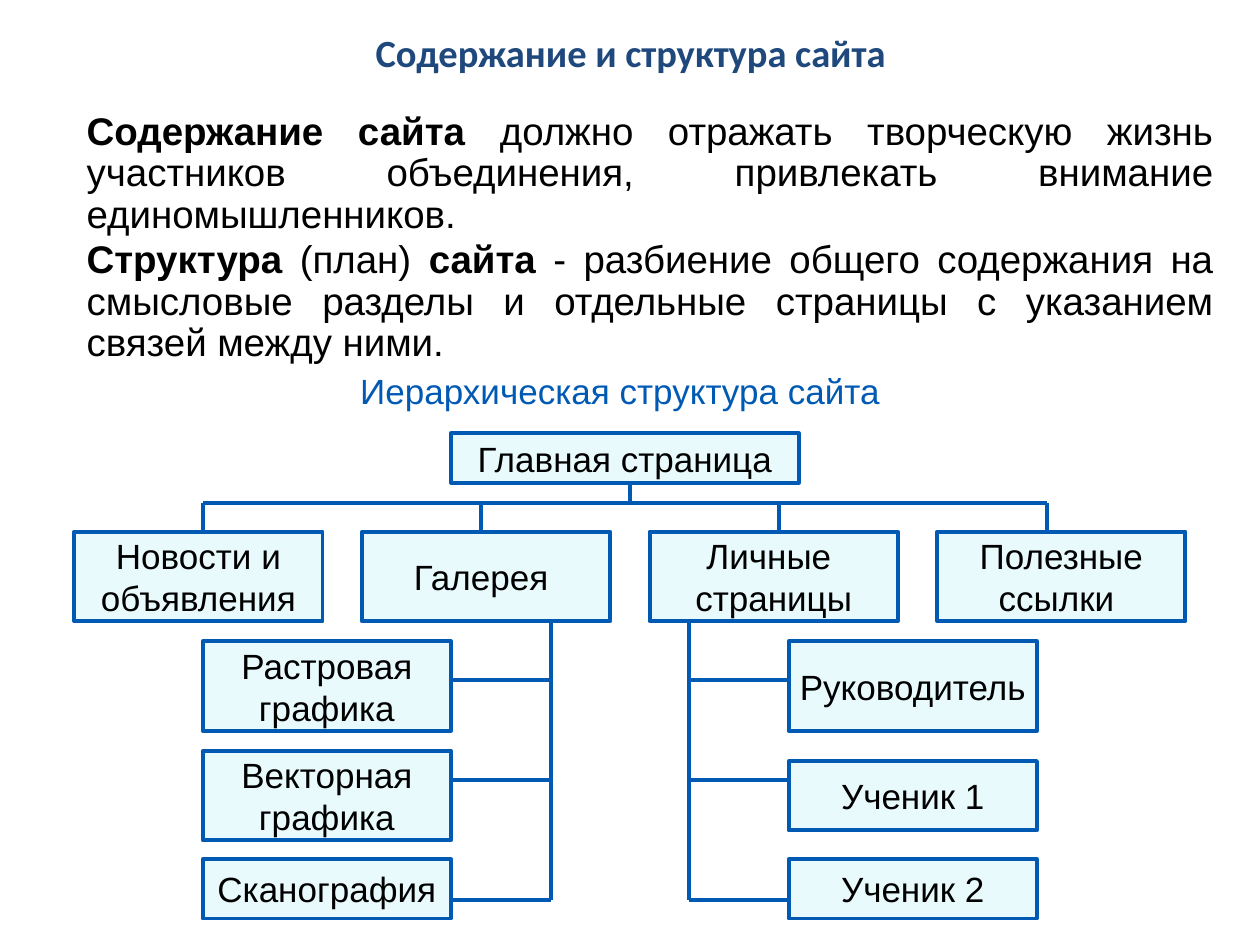
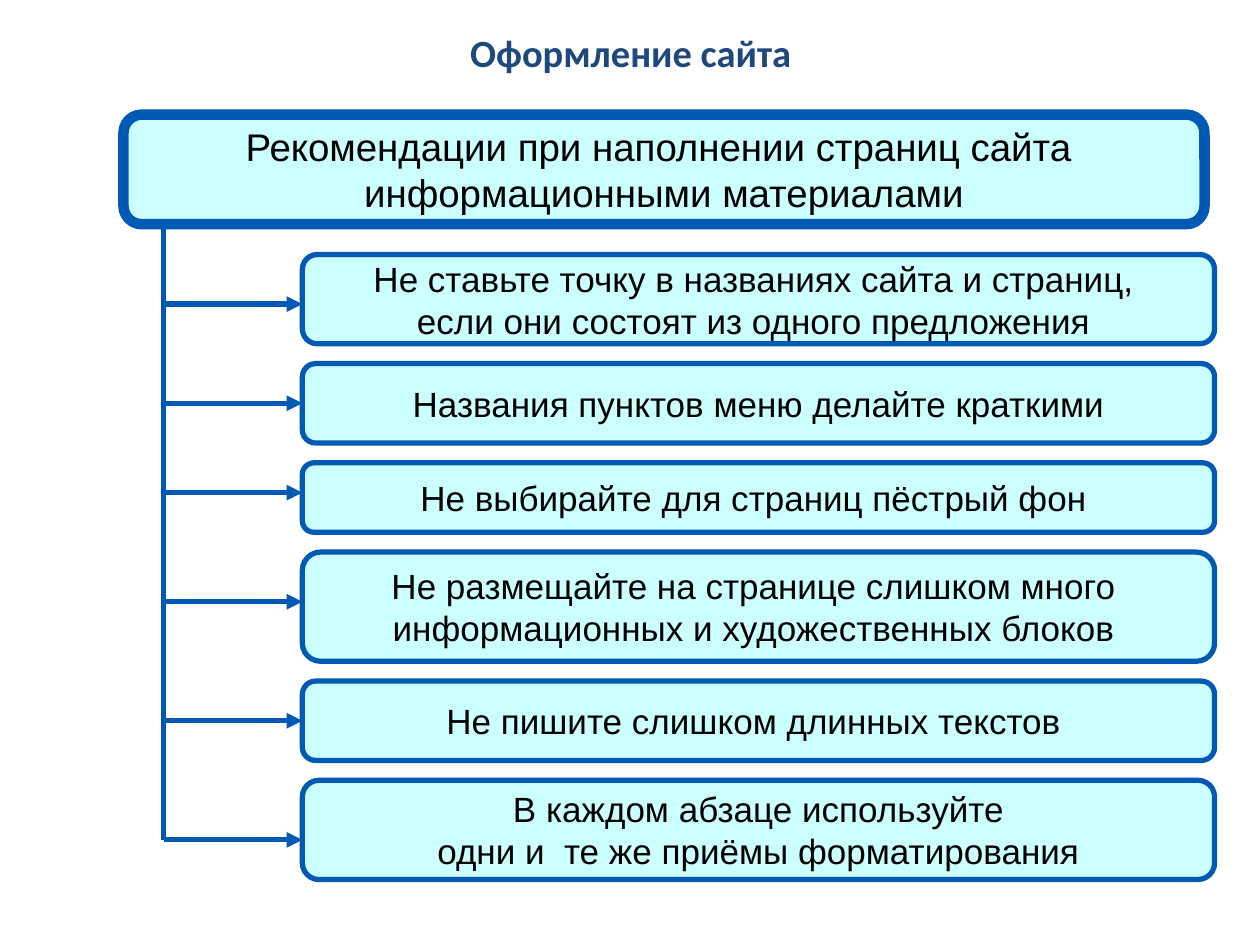
from lxml import etree
from pptx import Presentation
from pptx.dml.color import RGBColor
from pptx.enum.shapes import MSO_CONNECTOR, MSO_SHAPE
from pptx.enum.text import MSO_ANCHOR, PP_ALIGN
from pptx.oxml.ns import qn
from pptx.util import Inches, Pt

STRAIGHT = MSO_CONNECTOR.STRAIGHT
RECTANGLE = MSO_SHAPE.RECTANGLE
ROUNDED = MSO_SHAPE.ROUNDED_RECTANGLE
TOP, MIDDLE = MSO_ANCHOR.TOP, MSO_ANCHOR.MIDDLE
CENTER, JUSTIFY = PP_ALIGN.CENTER, PP_ALIGN.JUSTIFY

COLORS = {
    "title": "1F497D",
    "text": "000000",
    "line": "005AB4",
    "page": "E8FAFC",
    "advice": "CCFFFF",
}
GRID = 0.2 / 2.54

DEFINITIONS = [
    [("Содержание сайта", True),
     (" должно отражать творческую жизнь участников объединения, "
      "привлекать внимание единомышленников.", False)],
    [("Структура", True), (" (план) ", False), ("сайта", True),
     (" - разбиение общего содержания на смысловые разделы и отдельные "
      "страницы с указанием связей между ними.", False)],
]
SECTIONS = [
    (["Новости и", "объявления"], 1.02),
    (["Галерея "], 3.23),
    (["Личные ", "страницы"], 5.59),
    (["Полезные", "ссылки "], 7.72),
]
GALLERY_PAGES = [
    (["Растровая", "графика"], 1.65, 0.71),
    (["Векторная", "графика"], 2.52, 0.71),
    (["Сканография"], 3.38, 0.47),
]
PERSONAL_PAGES = [
    (["Руководитель"], 1.65, 0.71),
    (["Ученик 1"], 2.6, 0.55),
    (["Ученик 2"], 3.38, 0.47),
]
ADVICE = [
    (["Не ставьте точку в названиях сайта и страниц, ",
      "если они состоят из одного предложения "], 9, 5),
    (["Названия пунктов меню делайте краткими"], 8, 4),
    (["Не выбирайте для страниц пёстрый фон "], 7, 3),
    (["Не размещайте на странице слишком много ",
      "информационных и художественных блоков "], 11, 5),
    (["Не пишите слишком длинных текстов "], 8, 4),
    (["В каждом абзаце используйте",
      " одни и  те же приёмы форматирования "], 10, 6),
]


def rgb(name):
    return RGBColor.from_string(COLORS[name])


def write_text(frame, lines, size=20, color="text", font="Arial", bold=False,
               align=CENTER, anchor=MIDDLE, spacing=None, wrap=True):
    frame.word_wrap = wrap
    frame.vertical_anchor = anchor
    for index, line in enumerate(lines):
        paragraph = frame.add_paragraph() if index else frame.paragraphs[0]
        paragraph.alignment = align
        if spacing:
            paragraph.line_spacing = spacing
        pieces = [(line, bold)] if isinstance(line, str) else line
        for words, is_bold in pieces:
            run = paragraph.add_run()
            run.text = words
            run.font.name = font
            run.font.size = Pt(size)
            run.font.bold = is_bold
            run.font.color.rgb = rgb(color)


def add_label(slide, box, lines, **text_format):
    label = slide.shapes.add_textbox(*map(Inches, box))
    write_text(label.text_frame, lines, **text_format)


def add_card(slide, box, lines, outline=RECTANGLE, fill="page",
             line_width=2.25, size=20):
    card = slide.shapes.add_shape(outline, *map(Inches, box))
    card.shadow.inherit = False
    card.fill.solid()
    card.fill.fore_color.rgb = rgb(fill)
    card.line.color.rgb = rgb("line")
    card.line.width = Pt(line_width)
    write_text(card.text_frame, lines, size=size, wrap=False)


def add_link(slide, start, end, width=2.25, arrow=False):
    link = slide.shapes.add_connector(
        STRAIGHT, *map(Inches, (*start, *end)))
    link.line.color.rgb = rgb("line")
    link.line.width = Pt(width)
    if arrow:
        tail = etree.SubElement(link.line._get_or_add_ln(), qn("a:tailEnd"))
        tail.set("type", "triangle")
    etree.SubElement(link._element.spPr, qn("a:effectLst"))


def add_titled_slide(prs, title):
    slide = prs.slides.add_slide(prs.slide_layouts[6])
    add_label(slide, (0.51, 0.21, 8.99, 0.47), [title], size=22,
              color="title", font="Calibri", bold=True, spacing=0.8)
    return slide


def add_definitions(slide, left, top, width):
    for index, definition in enumerate(DEFINITIONS):
        add_label(slide, (left, top + index * 1.02, width, 1.09), [definition],
                  size=22, align=JUSTIFY, anchor=TOP, spacing=0.9)


def add_branch(slide, pages, page_left, spine, page_edge, top):
    add_link(slide, (spine, top + 1.49), (spine, top + 3.7))
    for lines, offset, height in pages:
        add_card(slide, (page_left, top + offset, 1.97, height), lines)
    for offset in (1.96, 2.75, 3.7):
        add_link(slide, (spine, top + offset), (page_edge, top + offset))


def add_site_tree(slide, left, top):
    bus = top + 0.55
    drops = [left + drop for _, drop in SECTIONS]
    for index, (lines, _) in enumerate(SECTIONS):
        add_card(slide, (left + index * 2.283, top + 0.78, 1.97, 0.71), lines)
    add_link(slide, (drops[0], bus), (drops[-1], bus))
    for drop in drops:
        add_link(slide, (drop, bus), (drop, top + 0.78))
    add_link(slide, (left + 4.41, top + 0.31), (left + 4.41, bus))
    add_card(slide, (left + 2.99, top, 2.76, 0.39), ["Главная страница"])
    add_branch(slide, GALLERY_PAGES, left + 1.02, left + 3.78, left + 2.99, top)
    add_branch(slide, PERSONAL_PAGES, left + 5.67, left + 4.88, left + 5.67, top)


def add_advice(slide, left, top):
    spine, row_left = left + 0.32, left + 1.42
    row_top = top + 1.11
    for lines, height, arrow_offset in ADVICE:
        add_card(slide, (row_left, row_top, 7.24, height * GRID), lines,
                 outline=ROUNDED, fill="advice", line_width=3)
        arrow_y = row_top + arrow_offset * GRID
        add_link(slide, (spine, arrow_y), (row_left, arrow_y), 3, arrow=True)
        row_top += (height + 2) * GRID
    add_card(slide, (left, top, 8.58, 0.87),
             ["Рекомендации при наполнении страниц сайта ",
              "информационными материалами"],
             outline=ROUNDED, fill="advice", line_width=6, size=22)
    add_link(slide, (spine, top + 0.87), (spine, arrow_y), 3)


def build_structure_slide(prs):
    slide = add_titled_slide(prs, "Содержание и структура сайта")
    add_definitions(slide, 0.59, 0.84, 9.14)
    add_site_tree(slide, 0.59, 3.44)
    add_label(slide, (1.69, 2.88, 6.54, 0.44),
              ["Иерархическая структура сайта "], color="line", anchor=TOP)


def build_design_slide(prs):
    slide = add_titled_slide(prs, "Оформление сайта")
    add_advice(slide, 0.98, 0.91)


def main():
    prs = Presentation()
    prs.slide_width = Inches(10)
    prs.slide_height = Inches(7.5)
    build_structure_slide(prs)
    build_design_slide(prs)
    prs.save("out.pptx")


if __name__ == "__main__":
    main()
